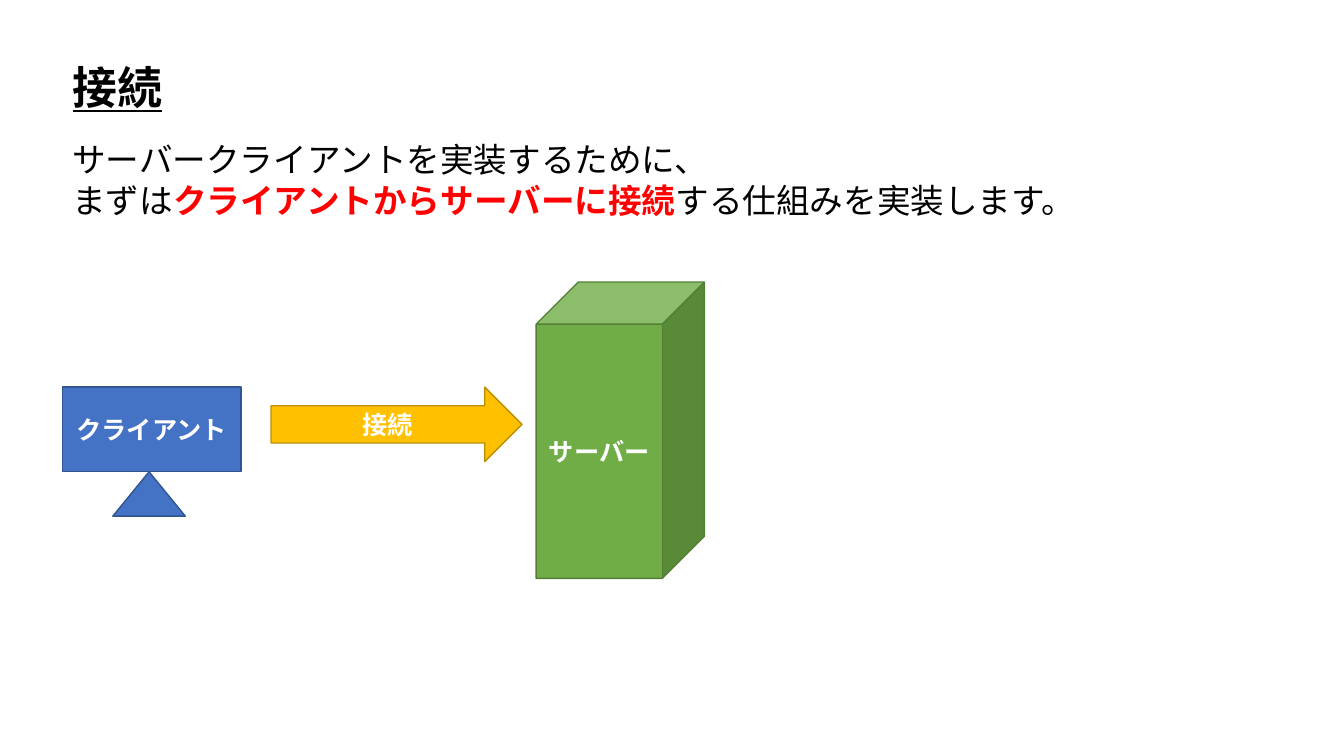
import pptx
import pptx.dml.color
import pptx.enum.shapes
import pptx.enum.text
import pptx.oxml.ns
import pptx.util
import lxml.etree

Pt = pptx.util.Pt
PRESETS = pptx.enum.shapes.MSO_SHAPE
ALIGN = pptx.enum.text.PP_ALIGN
ANCHOR = pptx.enum.text.MSO_ANCHOR
FONT = "Noto Sans CJK JP"
BLACK, WHITE, RED = "000000", "FFFFFF", "FF0000"


def rgb(value):
    return pptx.dml.color.RGBColor.from_string(value)


def add_run(paragraph, text, size, color, bold=False):
    run = paragraph.add_run()
    run.text = text
    run.font.size = Pt(size)
    run.font.bold = bold
    run.font.color.rgb = rgb(color)
    run.font.name = FONT
    # East Asian glyphs take their typeface from a separate element
    latin = run.font._element.find(pptx.oxml.ns.qn("a:latin"))
    east_asian = lxml.etree.Element(pptx.oxml.ns.qn("a:ea"), typeface=FONT)
    latin.addnext(east_asian)
    return run


def add_part(slide, preset, box, fill, outline, label=""):
    """Add a filled and outlined shape with an optional centred label."""
    part = slide.shapes.add_shape(preset, *map(Pt, box))
    part.shadow.inherit = False
    part.fill.solid()
    part.fill.fore_color.rgb = rgb(fill)
    part.line.color.rgb = rgb(outline)
    part.line.width = Pt(1)
    if label:
        part.text_frame.vertical_anchor = ANCHOR.MIDDLE
        paragraph = part.text_frame.paragraphs[0]
        paragraph.alignment = ALIGN.CENTER
        add_run(paragraph, label, 18, WHITE, bold=True)


def add_heading(slide, box):
    heading = slide.shapes.title
    heading.left, heading.top, heading.width, heading.height = map(Pt, box)
    frame = heading.text_frame
    frame.word_wrap = False
    frame.auto_size = pptx.enum.text.MSO_AUTO_SIZE.SHAPE_TO_FIT_TEXT
    frame.vertical_anchor = ANCHOR.TOP
    paragraph = frame.paragraphs[0]
    paragraph.alignment = ALIGN.LEFT
    paragraph.line_spacing = 1.0
    add_run(paragraph, "接続", 32, BLACK, bold=True).font.underline = True


def add_explanation(slide, box):
    frame = slide.shapes.add_textbox(*map(Pt, box)).text_frame
    frame.word_wrap = True
    frame.auto_size = pptx.enum.text.MSO_AUTO_SIZE.SHAPE_TO_FIT_TEXT
    add_run(frame.paragraphs[0], "サーバークライアントを実装するために、", 24, BLACK)
    goal = frame.add_paragraph()
    add_run(goal, "まずは", 24, BLACK)
    add_run(goal, "クライアントからサーバーに接続", 24, RED, bold=True)
    add_run(goal, "する仕組みを実装します。", 24, BLACK)


def add_client(slide, box):
    """Draw a monitor on a triangular stand."""
    left, top, width, height = box
    stand_height = 31.7
    screen_height = height - stand_height
    colors = "4472C4", "325491"
    stand = left + 36, top + screen_height, 51.8, stand_height
    add_part(slide, PRESETS.ISOSCELES_TRIANGLE, stand, *colors)
    screen = left, top, width, screen_height
    add_part(slide, PRESETS.RECTANGLE, screen, *colors, "クライアント")


def add_diagram(slide, box):
    left, top, width, height = box
    client_top = top + 75
    server_width = 120.2
    add_client(slide, (left, client_top, 127.5, 92.2))
    server = left + width - server_width, top, server_width, height
    add_part(slide, PRESETS.CUBE, server, "70AD47", "538035", "サーバー")
    connection = left + 149, client_top, 179.3, 53.3
    add_part(slide, PRESETS.RIGHT_ARROW, connection, "FFC000", "BD8E00", "接続")


def main():
    presentation = pptx.Presentation()
    presentation.slide_width, presentation.slide_height = Pt(960), Pt(540)
    slide = presentation.slides.add_slide(presentation.slide_layouts[5])
    margin = 44.6
    add_heading(slide, (margin, 38.9, 79.2, 46))
    add_explanation(slide, (margin, 95.8, 741.6, 65.5))
    add_diagram(slide, (margin, 201.5, 458.6, 211.7))
    presentation.save("out.pptx")


if __name__ == "__main__":
    main()
